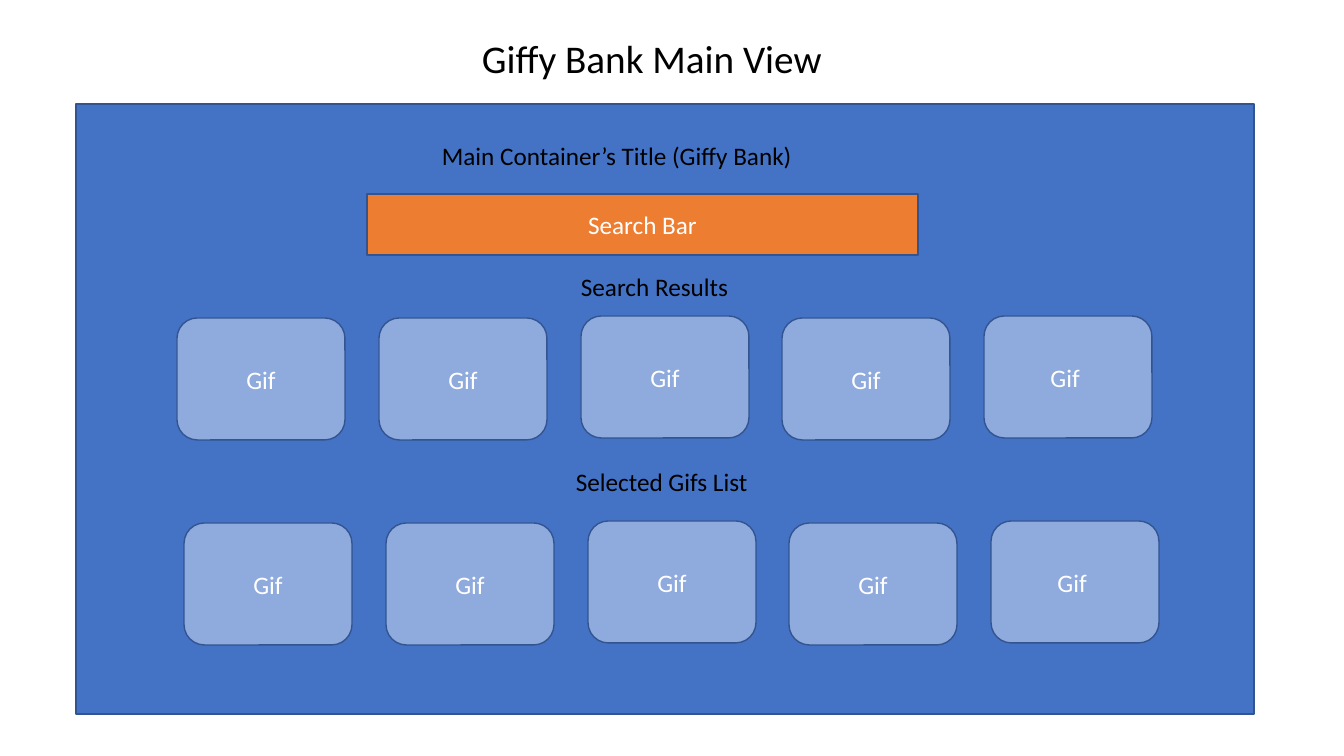
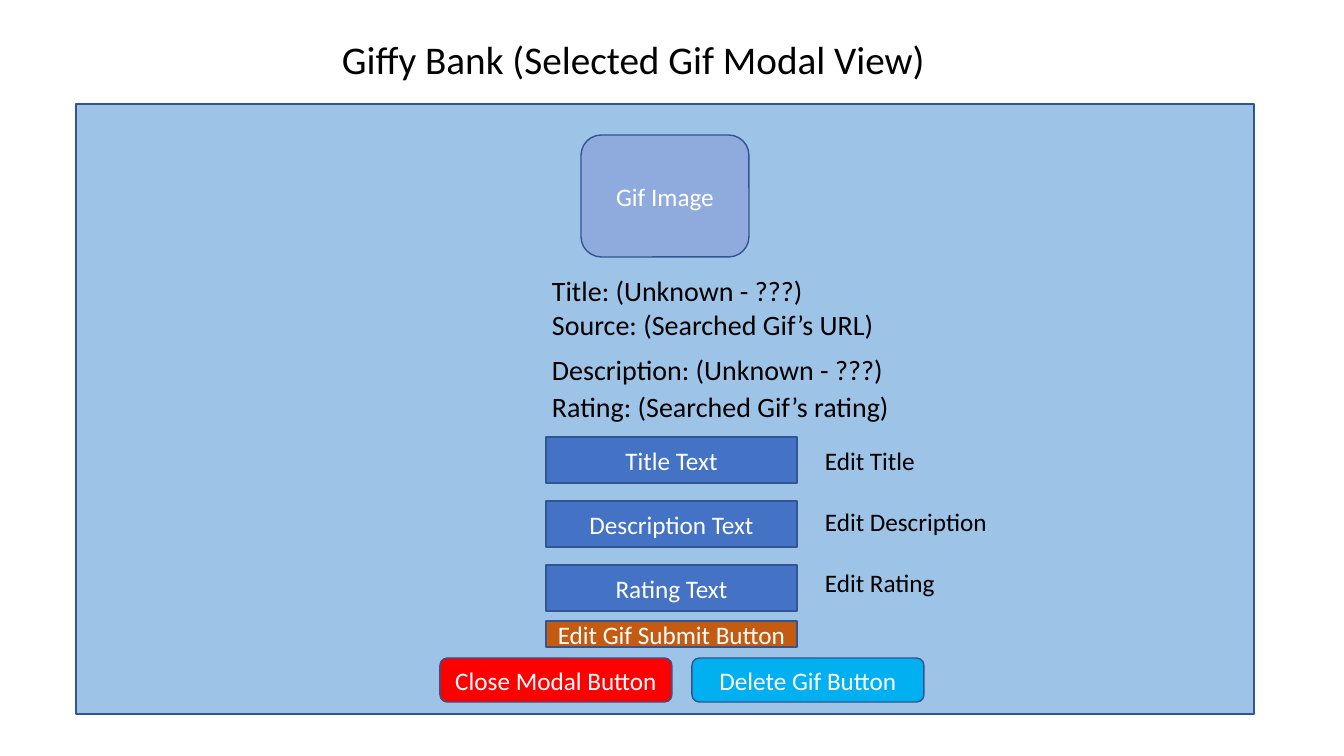
import collections

import pptx
import pptx.dml.color
import pptx.enum.shapes
import pptx.enum.text
import pptx.util

Box = collections.namedtuple("Box", "left top width height")
SHAPES = pptx.enum.shapes.MSO_SHAPE
ALIGN = pptx.enum.text.PP_ALIGN
ANCHOR = pptx.enum.text.MSO_ANCHOR

EMU_PER_PIXEL = 12192000 / 1344
FONT = "Calibri"
COLORS = {
    "ink": "000000",
    "light": "FFFFFF",
    "outline": "325491",
    "main": "4472C4",
    "modal": "9DC3E6",
    "gif": "8FAADC",
    "search": "ED7D31",
    "field": "4472C4",
    "submit": "C55A11",
    "close": "FF0000",
    "delete": "00B0F0",
}
PANEL = Box(76, 104, 1178, 610)
GIF_SIZE = (168, 122)
LABEL_HEIGHT = 40


def emu(pixels):
    """Turn picture pixels into EMU."""
    return pptx.util.Emu(round(pixels * EMU_PER_PIXEL))


def rgb(name):
    """Look up a named colour."""
    return pptx.dml.color.RGBColor.from_string(COLORS[name])


def inside(region, left, top, width, height):
    """Place a box relative to the corner of a region."""
    return Box(region.left + left, region.top + top, width, height)


def write(frame, text, size, color, align):
    """Put one styled run into a text frame."""
    frame.word_wrap = True
    paragraph = frame.paragraphs[0]
    paragraph.alignment = align
    run = paragraph.add_run()
    run.text = text
    run.font.name = FONT
    run.font.size = pptx.util.Pt(size)
    run.font.color.rgb = rgb(color)


def add_label(slide, box, text, size=18):
    """Add dark left-aligned text."""
    label = slide.shapes.add_textbox(*map(emu, box))
    write(label.text_frame, text, size, "ink", ALIGN.LEFT)


def add_block(slide, box, fill, text="", kind=SHAPES.RECTANGLE):
    """Add an outlined block with optional centred text."""
    block = slide.shapes.add_shape(kind, *map(emu, box))
    block.shadow.inherit = False
    block.fill.solid()
    block.fill.fore_color.rgb = rgb(fill)
    block.line.color.rgb = rgb("outline")
    block.line.width = pptx.util.Pt(1)
    if text:
        block.text_frame.vertical_anchor = ANCHOR.MIDDLE
        write(block.text_frame, text, 18, "light", ALIGN.CENTER)


def add_view(deck, title, title_box, panel_color):
    """Add a slide with its heading and background panel."""
    slide = deck.slides.add_slide(deck.slide_layouts[6])
    add_block(slide, PANEL, panel_color)
    add_label(slide, title_box, title, 28)
    return slide


def add_gif_row(slide, row):
    """Spread five gif tiles over a row, the third and fifth slightly raised."""
    width, height = GIF_SIZE
    captions = ["Gif"] * 4 + ["Gif "]
    step = (row.width - width) / (len(captions) - 1)
    for index, caption in enumerate(captions):
        lift = 2 if index in (2, 4) else 0
        tile = inside(row, round(index * step), -lift, width, height)
        add_block(slide, tile, "gif", caption, SHAPES.ROUNDED_RECTANGLE)


def add_search(slide, region):
    """Add the container title and the search bar."""
    add_label(slide, inside(region, 356, 31, 466, LABEL_HEIGHT),
              "Main Container’s Title (Giffy Bank)")
    add_block(slide, inside(region, 291, 90, 551, 61), "search", "Search Bar")


def add_galleries(slide, region):
    """Add the captioned rows of found and selected gifs."""
    galleries = [
        ("Search Results", 495, 162, 188, 101, 214),
        ("Selected Gifs List", 490, 357, 199, 108, 419),
    ]
    for caption, left, top, width, row_left, row_top in galleries:
        add_label(slide, inside(region, left, top, width, LABEL_HEIGHT), caption)
        add_gif_row(slide, inside(region, row_left, row_top, 975, GIF_SIZE[1]))


def add_details(slide, region):
    """Add the gif preview and the facts below it."""
    add_block(slide, inside(region, 505, 31, *GIF_SIZE), "gif", "Gif Image",
              SHAPES.ROUNDED_RECTANGLE)
    facts = [
        ("Title: (Unknown - ???)", 165),
        ("Source: (Searched Gif’s URL)", 199),
        ("Description: (Unknown - ???)", 244),
        ("Rating: (Searched Gif’s rating)", 281),
    ]
    for fact, top in facts:
        add_label(slide, inside(region, 466, top, 460, 44), fact, 20)


def add_edit_form(slide, region):
    """Add the edit fields, their labels and the submit button."""
    for index, field in enumerate(["Title", "Description", "Rating"]):
        add_block(slide, inside(region, 470, 333 + 64 * index, 251, 46),
                  "field", f"{field} Text")
        add_label(slide, inside(region, 739, 336 + 61 * index, 197, LABEL_HEIGHT),
                  f"Edit {field}")
    add_block(slide, inside(region, 470, 517, 251, 26), "submit",
              "Edit Gif Submit Button")


def add_actions(slide, region):
    """Add the close and delete buttons side by side."""
    actions = [("Close Modal Button", "close"), ("Delete Gif Button", "delete")]
    for index, (caption, color) in enumerate(actions):
        add_block(slide, inside(region, 364 + 252 * index, 554, 232, 44),
                  color, caption, SHAPES.ROUNDED_RECTANGLE)


def build_main_view(deck):
    """Build the main search view."""
    slide = add_view(deck, "Giffy Bank Main View", Box(472, 29, 386, 57), "main")
    add_search(slide, PANEL)
    add_galleries(slide, PANEL)


def build_modal_view(deck):
    """Build the view of one selected gif."""
    slide = add_view(deck, "Giffy Bank (Selected Gif Modal View)",
                     Box(332, 30, 680, 57), "modal")
    add_details(slide, PANEL)
    add_edit_form(slide, PANEL)
    add_actions(slide, PANEL)


deck = pptx.Presentation()
deck.slide_width = emu(1344)
deck.slide_height = emu(756)
build_main_view(deck)
build_modal_view(deck)
deck.save("out.pptx")
